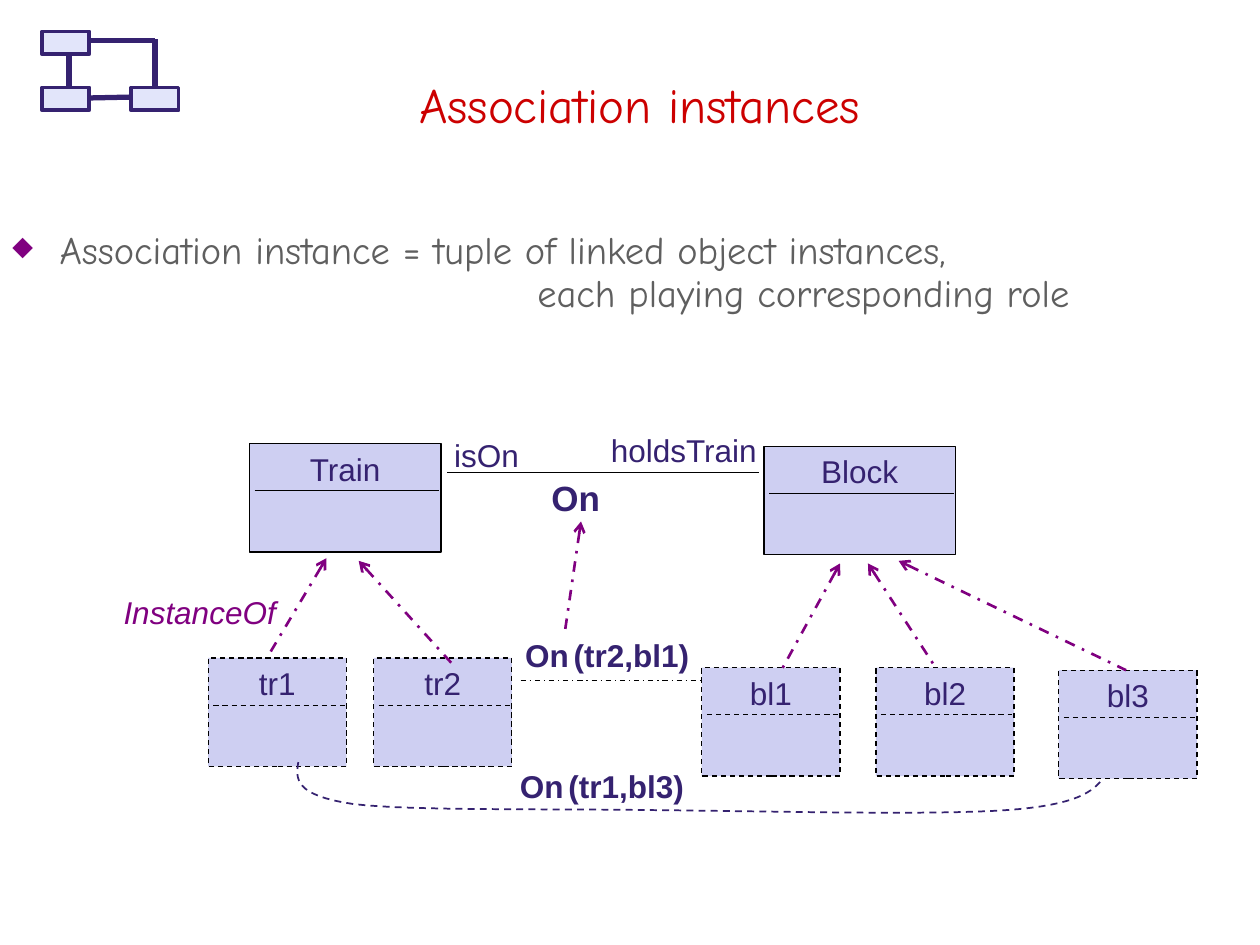
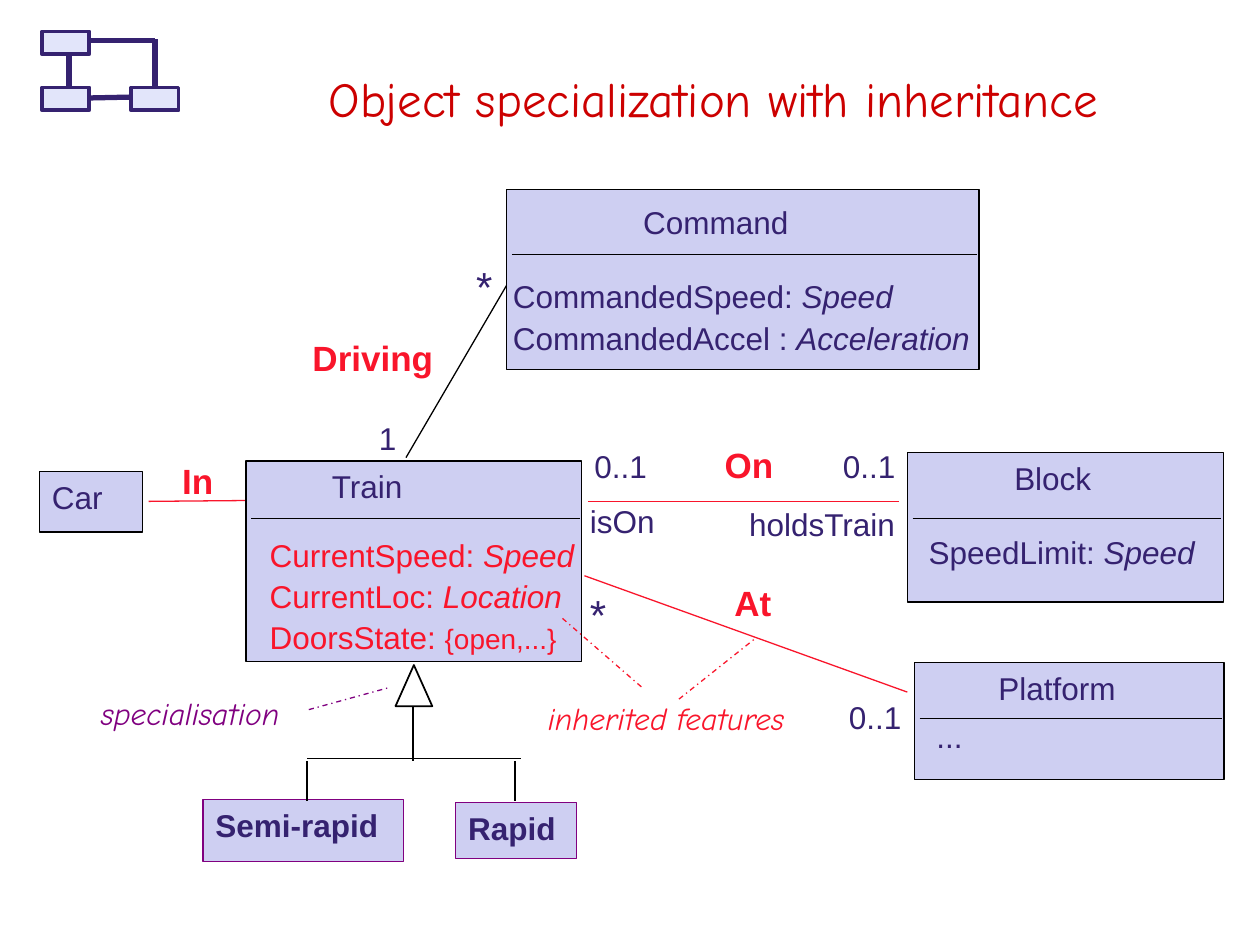
from lxml.etree import SubElement
from pptx import Presentation
from pptx.dml.color import RGBColor
from pptx.enum.dml import MSO_LINE as DASH
from pptx.enum.shapes import MSO_CONNECTOR as CONNECTOR, MSO_SHAPE as SHAPE
from pptx.enum.text import MSO_ANCHOR as ANCHOR, PP_ALIGN as ALIGN
from pptx.oxml.ns import qn
from pptx.util import Pt

COLORS = {
    "title": "CC0000",
    "body": "5F5F5F",
    "ink": "352270",
    "box": "CECFF2",
    "icon": "E2E5FA",
    "black": "000000",
    "purple": "800080",
    "red": "F9152B",
}
SANS, COMIC = "Arial", "Comic Neue"


def rgb(name):
    """Return the named colour."""
    return RGBColor.from_string(COLORS[name])


def write(paragraph, text, size=18, color="ink", font=SANS, bold=False, italic=False,
          align=ALIGN.LEFT, indent=0, hanging=0, before=0, spacing=None):
    """Add a formatted run to a paragraph and set the paragraph's layout."""
    run = paragraph.add_run()
    run.text = text
    run.font.size = Pt(size)
    run.font.name = font
    run.font.bold = bold
    run.font.italic = italic
    run.font.color.rgb = rgb(color)
    paragraph.alignment = align
    paragraph.space_before = Pt(before)
    if spacing:
        paragraph.line_spacing = spacing
    properties = paragraph._p.get_or_add_pPr()
    properties.set("marL", str(Pt(indent)))
    properties.set("indent", str(Pt(-hanging)))


def curve_points(start, segments, steps=16):
    """Return points along a chain of cubic curves."""
    points = [start]
    for first, second, end in segments:
        begin = points[-1]
        for step in range(1, steps + 1):
            t = step / steps
            weights = ((1 - t) ** 3, 3 * t * (1 - t) ** 2, 3 * t * t * (1 - t), t ** 3)
            corners = (begin, first, second, end)
            points.append(tuple(sum(w * corner[axis] for w, corner in zip(weights, corners))
                                for axis in (0, 1)))
    return points


class Deck:
    """Hold the shared style and the current slide."""

    def __init__(self):
        """Start an empty presentation."""
        self.presentation = Presentation()
        self.presentation.slide_width = Pt(720)
        self.presentation.slide_height = Pt(540)
        self.slide = None

    def new_slide(self, title, left, top, width, height):
        """Start a slide with its title and the corner icon."""
        self.slide = self.presentation.slides.add_slide(self.presentation.slide_layouts[5])
        shape = self.slide.shapes.title
        shape.left, shape.top, shape.width, shape.height = map(Pt, (left, top, width, height))
        shape.text_frame.vertical_anchor = ANCHOR.MIDDLE
        write(shape.text_frame.paragraphs[0], title, size=28, color="title", font=COMIC,
              align=ALIGN.CENTER)
        self.icon()

    def icon(self):
        """Draw the small diagram in the corner."""
        for left, top in ((24, 18), (75, 50), (24, 50)):
            self.shape(left, top, 27, 13, fill="icon", color="ink", weight=2.25)
        for ends in ((50.5, 56, 75, 55.5), (88.5, 49, 88.5, 22.5),
                     (52, 23, 88.5, 23), (39.5, 50.5, 39.5, 30)):
            self.line(*ends, color="ink", weight=3)

    def outline(self, shape, color, weight, dash=None):
        """Set the outline of a shape or line."""
        shape.line.color.rgb = rgb(color)
        shape.line.width = Pt(weight)
        if dash:
            shape.line.dash_style = dash

    def shape(self, left, top, width, height, kind=SHAPE.RECTANGLE, fill="box",
              color="black", weight=0.75, dash=None):
        """Add a preset shape."""
        shape = self.slide.shapes.add_shape(kind, *map(Pt, (left, top, width, height)))
        shape.shadow.inherit = False
        if fill:
            shape.fill.solid()
            shape.fill.fore_color.rgb = rgb(fill)
        else:
            shape.fill.background()
        self.outline(shape, color, weight, dash)
        return shape

    def line(self, x1, y1, x2, y2, color="black", weight=0.75, dash=None, arrow=False):
        """Add a straight line, with an arrowhead at its start if asked."""
        line = self.slide.shapes.add_connector(CONNECTOR.STRAIGHT, *map(Pt, (x1, y1, x2, y2)))
        self.outline(line, color, weight, dash)
        if arrow:
            SubElement(line.line._get_or_add_ln(), qn("a:headEnd"), type="arrow")
        SubElement(line._element.spPr, qn("a:effectLst"))

    def curve(self, start, segments, color, weight, dash):
        """Add an open curved outline."""
        points = [(Pt(x), Pt(y)) for x, y in curve_points(start, segments)]
        builder = self.slide.shapes.build_freeform(*points[0])
        builder.add_line_segments(points[1:], close=False)
        shape = builder.convert_to_shape()
        shape.shadow.inherit = False
        shape.fill.background()
        self.outline(shape, color, weight, dash)

    def box(self, left, top, width, height, name, divider=None, color="black", dash=None,
            **style):
        """Add a box with its name and an optional dividing line."""
        shape = self.shape(left, top, width, height, color=color, dash=dash)
        shape.text_frame.vertical_anchor = ANCHOR.TOP
        if name:
            write(shape.text_frame.paragraphs[0], name, **style)
        if divider:
            self.line(left + 3, top + divider, left + width - 1, top + divider, dash=dash)

    def label(self, left, top, width, height, *paragraphs, **style):
        """Add a text box of paragraphs, each a string or a list of (text, style) runs."""
        frame = self.slide.shapes.add_textbox(*map(Pt, (left, top, width, height))).text_frame
        frame.word_wrap = True
        for number, runs in enumerate(paragraphs):
            paragraph = frame.add_paragraph() if number else frame.paragraphs[0]
            for text, extra in [(runs, {})] if isinstance(runs, str) else runs:
                write(paragraph, text, **{"before": 2 if number else 0, **style, **extra})
        return frame

    def bullet(self, paragraph):
        """Give a paragraph the diamond bullet."""
        properties = paragraph._p.get_or_add_pPr()
        SubElement(SubElement(properties, qn("a:buClr")), qn("a:srgbClr"), val=COLORS["purple"])
        SubElement(properties, qn("a:buSzPct"), val="70000")
        SubElement(properties, qn("a:buChar"), char="◆")


def association_instances(deck):
    """Build the slide on association instances."""
    deck.new_slide("Association instances", 25, 29.5, 681, 60)
    frame = deck.label(
        0, 88, 687, 119,
        [("Association instance = tuple of linked object instances,",
          {"indent": 27, "hanging": 27, "before": 9, "spacing": 1.5})],
        [("each playing corresponding role", {"indent": 300, "before": 5.5, "spacing": 0.7})],
        size=22, color="body", font=COMIC)
    frame.vertical_anchor = ANCHOR.MIDDLE
    deck.bullet(frame.paragraphs[0])

    for name, left, top in (("Train", 142.5, 253.5), ("Block", 436.5, 255)):
        deck.box(left, top, 109.5, 62, name, divider=27, align=ALIGN.CENTER)
    for name, left, top in (("tr1", 119, 376), ("tr2", 213.5, 376), ("bl1", 401, 381.5),
                            ("bl2", 500.5, 381.5), ("bl3", 605, 383)):
        deck.box(left, top, 79, 62, name, divider=27, dash=DASH.DASH, align=ALIGN.CENTER)

    for ends in ((186.5, 319, 154, 373.5), (205, 320.5, 259, 380), (513.5, 320.5, 643.5, 383),
                 (496, 322, 535, 382), (480, 322, 446.5, 383), (332, 298, 322.5, 363)):
        deck.line(*ends, color="purple", weight=1.5, dash=DASH.DASH_DOT, arrow=True)
    deck.line(255.5, 270, 433.5, 270)
    deck.line(297.5, 389, 400.5, 389, dash=DASH.DASH_DOT)
    deck.curve((170.5, 435.5),
               (((169, 445), (168, 454.5), (202, 459.5)),
                ((236, 463.5), (314, 462), (376, 463)),
                ((438, 463.5), (532, 466), (574.5, 463)),
                ((617, 460), (624, 452), (630.5, 445))),
               color="ink", weight=1, dash=DASH.DASH)

    deck.label(63.5, 335.5, 114.5, 36.5, "InstanceOf", color="purple", italic=True)
    deck.label(308, 268.5, 50, 33, "On", size=20, bold=True)
    deck.label(252.5, 245.5, 56, 32, "isOn")
    deck.label(342, 242.5, 104.5, 32, "holdsTrain")
    for pair, left, top in (("(tr2,bl1)", 293, 360), ("(tr1,bl3)", 290, 435)):
        deck.label(left, top, 116, 32, [("On", {}), (" ", {"size": 10}), (pair, {})], bold=True)


def object_specialization(deck):
    """Build the slide on specialization with inheritance."""
    deck.new_slide("Object specialization with inheritance", 111, 24, 593, 64)
    italic = {"italic": True}

    deck.line(85, 286.5, 143.5, 286, color="red")
    deck.line(334, 329, 518.5, 395.5, color="red")
    deck.line(336, 286.5, 514, 286.5, color="red")
    deck.line(232, 261.5, 291, 160.5)

    deck.box(289.5, 108.5, 270, 102.5, "", divider=37)
    deck.box(140.5, 263.5, 192, 114.5, "Train", divider=33, indent=42)
    deck.box(518.5, 258.5, 180.5, 85.5, "Block", divider=38, indent=54)
    deck.box(522.5, 378.5, 177, 67, "Platform", divider=32, indent=41)
    deck.box(22.5, 269.5, 59, 34.5, "Car")
    deck.box(116, 457, 114.5, 35.5, "Semi-rapid", color="purple", bold=True)
    deck.box(260.5, 458.5, 69, 32, "Rapid", color="purple", bold=True)

    deck.label(360.5, 112.5, 160, 40, "Command")
    deck.label(286, 155, 282, 54,
               [("CommandedSpeed: ", {}), ("Speed", italic)],
               [("CommandedAccel : ", {}), ("Acceleration", italic)])
    deck.label(147, 302.5, 194.5, 72.5,
               [("CurrentSpeed: ", {}), ("Speed", italic)],
               [("CurrentLoc: ", {}), ("Location", italic)],
               [("DoorsState: ", {}), ("{open,...}", {"size": 16})], color="red")
    deck.label(523.5, 301, 173, 43, [("SpeedLimit: ", {}), ("Speed", italic)])
    deck.label(528, 406, 45.5, 46, "...")

    for name, left, top, width in (("Driving", 171.5, 188.5, 94.5), ("In", 97, 259, 45.5),
                                   ("On", 407, 250, 49.5), ("At", 412.5, 328.5, 76.5)):
        deck.label(left, top, width, 46, name, size=20, color="red", bold=True)
    for left, top in ((332.5, 252), (474.5, 252), (478, 395.5)):
        deck.label(left, top, 48, 50, "0..1")
    for left, top in ((265, 145.5), (330, 332.5)):
        deck.label(left, top, 36, 37.5, "*", size=24)
    deck.label(209.5, 236, 30, 34, "1")
    deck.label(330, 283.5, 56, 50, "isOn")
    deck.label(421, 285, 114.5, 36.5, "holdsTrain")

    deck.shape(226, 380, 21, 23.5, kind=SHAPE.ISOSCELES_TRIANGLE, fill=None, weight=1)
    for ends in ((236, 404, 236, 435), (175.5, 433.5, 297.5, 433.5),
                 (175.5, 435, 175.5, 458), (294.5, 435, 294.5, 458)):
        deck.line(*ends, weight=1)

    deck.label(306, 396, 182, 33, "inherited features", font=COMIC, color="red", italic=True)
    deck.label(50.5, 393, 135.5, 29.5, "specialisation", font=COMIC, color="purple", italic=True)
    for color, *ends in (("purple", 176.5, 405.5, 222, 393), ("red", 366.5, 392.5, 321, 353),
                         ("red", 388, 399.5, 432, 364.5)):
        deck.line(*ends, color=color, dash=DASH.DASH_DOT)


def main():
    """Build and save the presentation."""
    deck = Deck()
    association_instances(deck)
    object_specialization(deck)
    deck.presentation.save("out.pptx")


if __name__ == "__main__":
    main()
